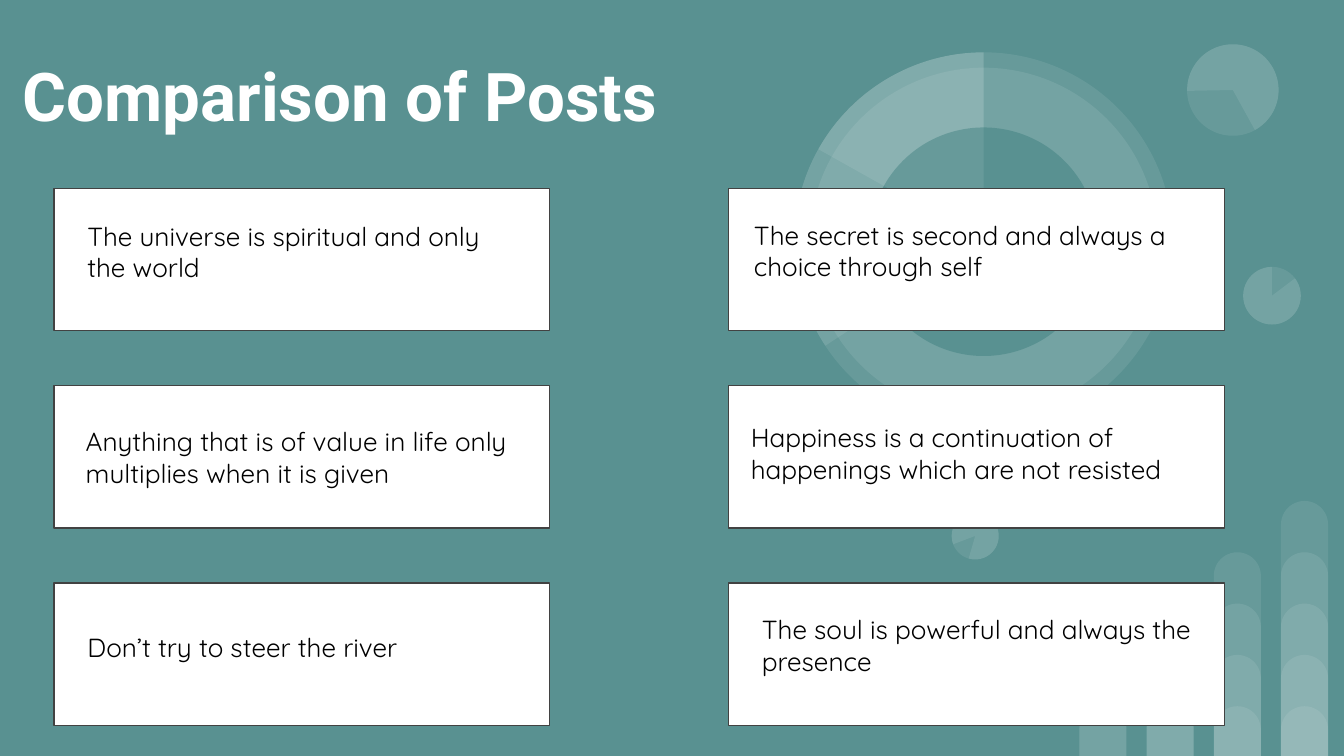
"""Build a slide comparing six short posts on white cards."""
from lxml import etree
from pptx import Presentation
from pptx import util as u
from pptx.dml.color import RGBColor
from pptx.enum import shapes, text
from pptx.oxml.ns import qn

COLORS = {"teal": "599191", "white": "FFFFFF", "line": "424242", "black": "000000"}
TITLE = {"name": "Roboto", "size": u.Pt(36), "bold": True}
BODY = {"name": "Quicksand", "size": u.Pt(14), "bold": False}
SHAPE = shapes.MSO_SHAPE
HEIGHT = 14.29

DISCS = [
    (24.04, 5.59, 1.09, 0, "white"),
    (18.43, 10.13, 0.89, 196.2, "white"),
    (23.3, 1.7, 1.73, 215.9, "white"),
    (18.59, 4.57, 7.16, 0, "white"),
    (18.59, 4.57, 6.58, 0, "white"),
]
PIES = [
    (24.04, 5.59, 1.09, 0, 323),
    (18.43, 10.13, 0.89, 196.2, 323),
    (23.3, 1.7, 1.73, 215.9, (323, 205.23)),
]
RING_STARTS = (146.69, 209.24)
QUOTES = [
    ("The universe is spiritual and only the world", 1.4, 3.91, 8.64, 2.03),
    ("The secret is second and always a choice through self", 14, 3.89, 8.64, 2.03),
    ("Anything that is of value in life only multiplies when it is given",
     1.37, 7.8, 9.83, 2.39),
    ("Happiness is a continuation of happenings which are not resisted",
     13.94, 7.72, 9.04, 1.5),
    ("Don’t try to steer the river", 1.4, 11.68, 6.86, 1.5),
    ("The soul is powerful and always the presence", 14.15, 11.35, 8.64, 2.03),
]


def rgb(name):
    """Return the named colour."""
    return RGBColor.from_string(COLORS[name])


def add_shape(s, kind, box, fill="white", alpha=None, line=None):
    """Add a filled shape, optionally translucent or outlined."""
    sp = s.shapes.add_shape(kind, *map(u.Cm, box))
    sp.shadow.inherit = False
    sp.fill.solid()
    sp.fill.fore_color.rgb = rgb(fill)
    if alpha is not None:
        color = sp.fill._xPr.find(f".//{qn('a:srgbClr')}")
        etree.SubElement(color, qn("a:alpha")).set("val", str(alpha * 1000))
    if line:
        sp.line.color.rgb = rgb(line)
        sp.line.width = u.Pt(0.75)
    else:
        sp.line.fill.background()
    return sp


def add_round(s, kind, x, y, size, rotation=0, fill="white", alpha=9):
    """Add a round shape from its centre and diameter."""
    box = (x - size / 2, y - size / 2, size, size)
    sp = add_shape(s, kind, box, fill, alpha)
    sp.rotation = rotation
    return sp


def add_pie(s, x, y, size, rotation, angles):
    """Add a pie slice; a single angle is the start and the slice ends at the top."""
    start, end = angles if isinstance(angles, tuple) else (angles, 270)
    sp = add_round(s, SHAPE.PIE, x, y, size, rotation)
    sp.adjustments[0] = start * 0.6
    sp.adjustments[1] = end * 0.6


def add_bars(s):
    """Add the stacked translucent bars in the lower right corner."""
    for col in range(4):
        for step in range(col + 2):
            h = 0.94 + 0.97 * step
            box = (20.4 + 1.27 * col, HEIGHT - h, 0.89, h)
            sp = add_shape(s, SHAPE.ROUND_2_SAME_RECTANGLE, box, alpha=9)
            sp.adjustments[0] = 0.5
            sp.adjustments[1] = 0


def add_charts(s):
    """Add the decorative pies and the large ring."""
    for x, y, size, rotation, fill in DISCS:
        add_round(s, SHAPE.OVAL, x, y, size, rotation, fill)
    for pie in PIES:
        add_pie(s, *pie)
    ring = DISCS[3][:4]
    add_pie(s, *ring, RING_STARTS[0])
    add_round(s, SHAPE.OVAL, *ring[:2], 4.32, fill="teal", alpha=None)
    add_pie(s, *ring, RING_STARTS[1])


def add_text(s, words, box, font, color, anchor=text.MSO_ANCHOR.TOP):
    """Add a wrapped text box in one style."""
    tf = s.shapes.add_textbox(*map(u.Cm, box)).text_frame
    frame = {"word_wrap": True, "vertical_anchor": anchor}
    frame.update({f"margin_{side}": u.Cm(0.25)
                  for side in ("left", "right", "top", "bottom")})
    for key, value in frame.items():
        setattr(tf, key, value)
    r = tf.paragraphs[0].add_run()
    r.text = words
    for key, value in font.items():
        setattr(r.font, key, value)
    r.font.color.rgb = rgb(color)


def main():
    """Build and save the slide."""
    prs = Presentation()
    prs.slide_width, prs.slide_height = u.Cm(25.4), u.Cm(HEIGHT)
    s = prs.slides.add_slide(prs.slide_layouts[6])
    s.background.fill.solid()
    s.background.fill.fore_color.rgb = rgb("teal")
    add_bars(s)
    add_charts(s)
    add_text(s, "Comparison of Posts", (0.18, 0, 15.29, 3.58), TITLE, "white",
             text.MSO_ANCHOR.MIDDLE)
    for i, (words, *box) in enumerate(QUOTES):
        row, col = divmod(i, 2)
        card = (1.02 + 12.75 * col, 3.56 + 3.73 * row, 9.37, 2.69)
        add_shape(s, SHAPE.RECTANGLE, card, line="line")
        add_text(s, words, box, BODY, "black")
    prs.save("out.pptx")


if __name__ == "__main__":
    main()
